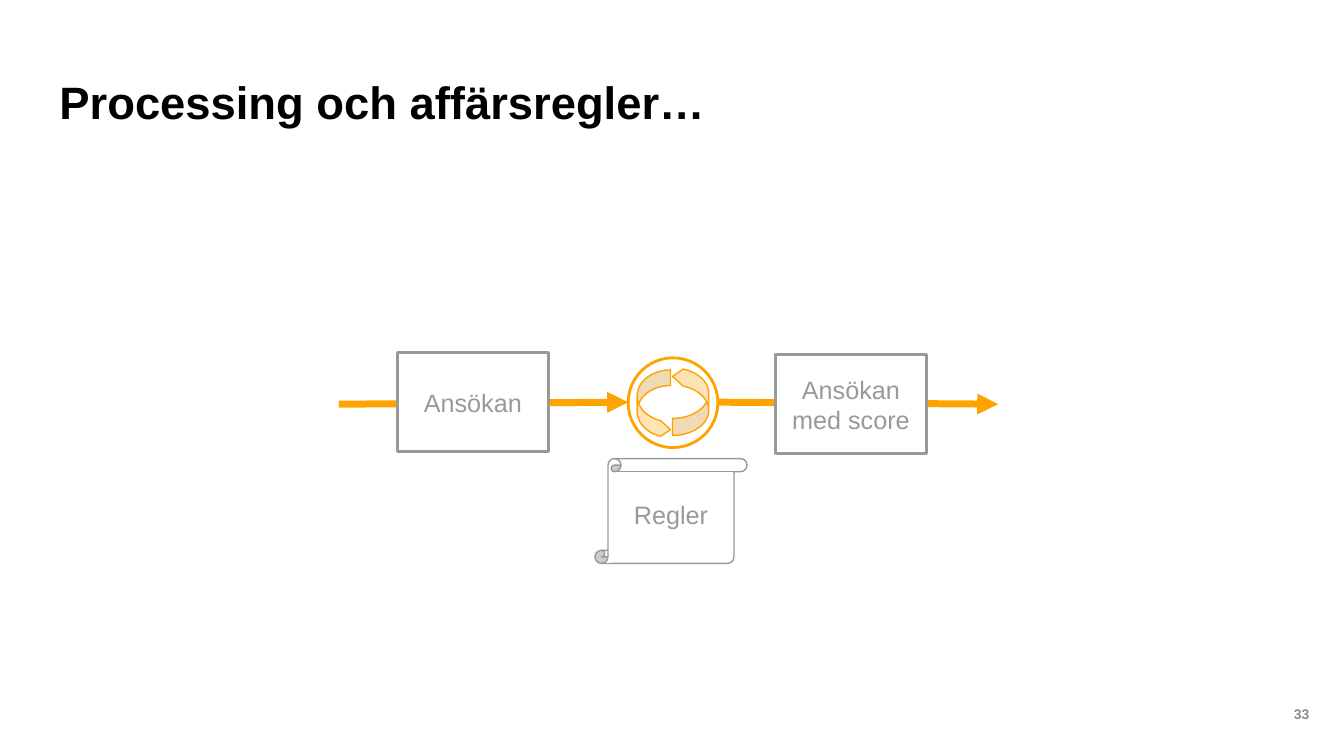
from lxml import etree
from pptx import Presentation
from pptx.dml.color import RGBColor
from pptx.enum import shapes, text
from pptx.oxml.ns import qn
from pptx.util import Inches, Pt

COLORS = {"orange": "FEA300", "gray": "989A98", "number": "8C8C8C",
          "title": "000000", "white": "FFFFFF"}
SHAPE = shapes.MSO_SHAPE


def write(shape, words, size, color, align, bold=False):
    frame = shape.text_frame
    frame.word_wrap = True
    frame.vertical_anchor = text.MSO_ANCHOR.MIDDLE
    paragraph = frame.paragraphs[0]
    paragraph.text = words
    paragraph.alignment = align
    font = paragraph.font
    font.name, font.size, font.bold = "Arial", Pt(size), bold
    font.color.rgb = RGBColor.from_string(COLORS[color])
    return frame


def add_outlined(preset, box, line, width, fill=None):
    shape = slide.shapes.add_shape(preset, *map(Inches, box))
    shape.shadow.inherit = False
    shape.line.color.rgb = RGBColor.from_string(COLORS[line])
    shape.line.width = Pt(width)
    if fill:
        shape.fill.solid()
        shape.fill.fore_color.rgb = RGBColor.from_string(COLORS[fill])
    else:
        shape.fill.background()
    return shape


prs = Presentation()
prs.slide_width, prs.slide_height = Inches(13.33), Inches(7.5)
slide = prs.slides.add_slide(prs.slide_layouts[6])

# Page number and title
page_number = slide.shapes.add_textbox(*map(Inches, (12.49, 6.66, 0.84, 0.84)))
write(page_number, "33", 10, "number", text.PP_ALIGN.CENTER, bold=True)

title = slide.shapes.add_textbox(*map(Inches, (0.59, 0.7, 11.9, 0.63)))
title_frame = write(title, "Processing och affärsregler…", 32.4, "title",
                    text.PP_ALIGN.LEFT, bold=True)
title_frame.margin_left = 0
title_frame.vertical_anchor = text.MSO_ANCHOR.BOTTOM
title_frame.paragraphs[0].line_spacing = 0.9

# Processing symbol: two half-turn arrows inside a ring
for box, rotation in (((6.32, 3.67, 0.33, 0.67), 0), ((6.67, 3.65, 0.36, 0.67), 180)):
    cycle = add_outlined(SHAPE.CURVED_RIGHT_ARROW, box, "orange", 1, "orange")
    cycle.rotation = rotation
    for index, value in enumerate((0.47, 0.47, 0.294)):
        cycle.adjustments[index] = value
    tint = cycle.fill._xPr.find(qn("a:solidFill"))[0]
    etree.SubElement(tint, qn("a:alpha"), val="29000")
add_outlined(SHAPE.OVAL, (6.23, 3.55, 0.89, 0.89), "orange", 2)

# Flow into and out of the processing step
for start, end in (((7.12, 3.99), (9.9, 4.01)), ((3.36, 4.01), (6.23, 3.99))):
    flow = slide.shapes.add_connector(shapes.MSO_CONNECTOR.STRAIGHT,
                                      *map(Inches, start + end))
    flow.line.color.rgb = RGBColor.from_string(COLORS["orange"])
    flow.line.width = Pt(5)
    etree.SubElement(flow.line._get_or_add_ln(), qn("a:tailEnd"), type="triangle")
    etree.SubElement(flow._element.spPr, qn("a:effectLst"))

# Applications before and after scoring, and the rules that apply
for preset, box, width, words in (
    (SHAPE.RECTANGLE, (3.94, 3.5, 1.5, 0.98), 2, "Ansökan"),
    (SHAPE.RECTANGLE, (7.69, 3.52, 1.5, 0.98), 2, "Ansökan med score"),
    (SHAPE.VERTICAL_SCROLL, (5.9, 4.55, 1.51, 1.04), 1, "Regler"),
):
    step = add_outlined(preset, box, "gray", width, "white")
    write(step, words, 18, "gray", text.PP_ALIGN.CENTER)

prs.save("out.pptx")
